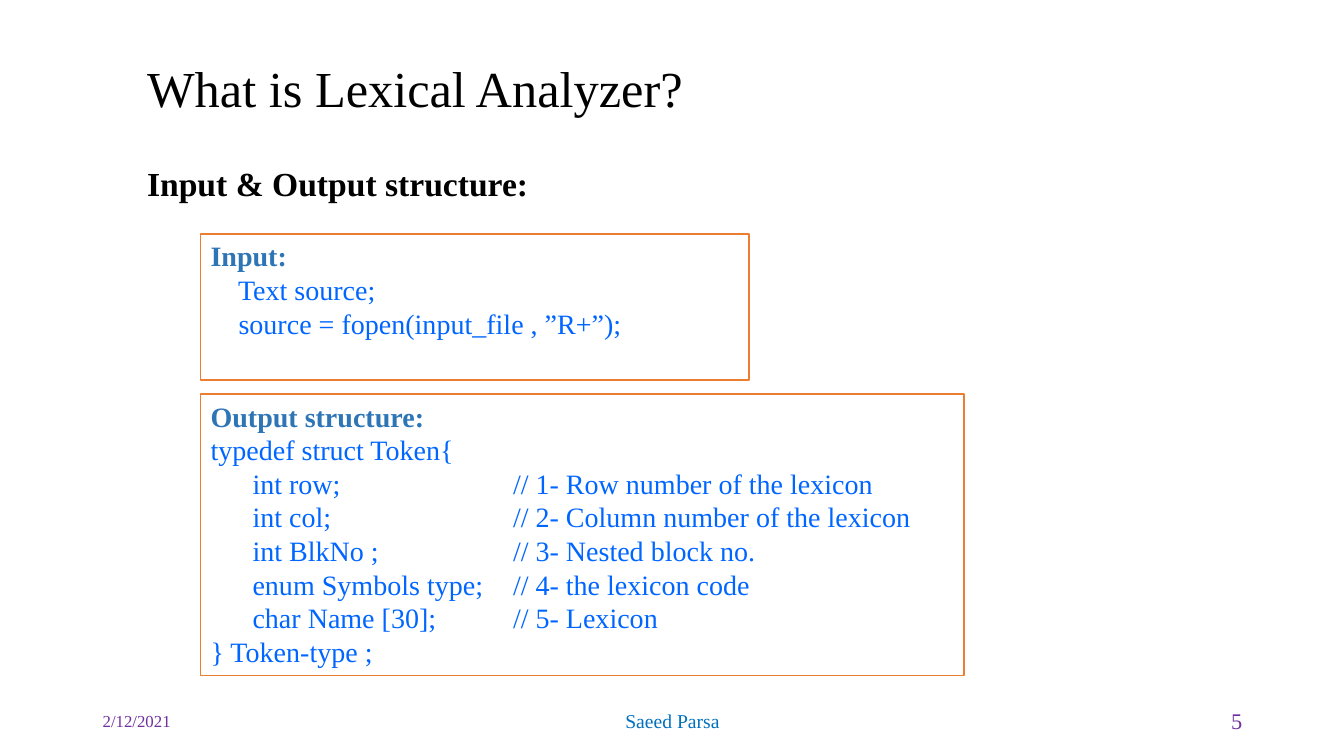
from lxml import etree
from pptx import Presentation
from pptx.dml.color import RGBColor
from pptx.enum.shapes import MSO_SHAPE
from pptx.enum.text import MSO_ANCHOR, MSO_AUTO_SIZE, PP_ALIGN
from pptx.oxml.ns import qn
from pptx.util import Inches, Pt

FONT = "Times New Roman"
BLACK = RGBColor(0x00, 0x00, 0x00)
WHITE = RGBColor(0xFF, 0xFF, 0xFF)
ORANGE = RGBColor(0xED, 0x7D, 0x31)
HEADING_BLUE = RGBColor(0x2E, 0x75, 0xB6)
CODE_BLUE = RGBColor(0x00, 0x66, 0xFF)
FOOTER_BLUE = RGBColor(0x00, 0x70, 0xC0)
PURPLE = RGBColor(0x70, 0x30, 0xA0)

COMMENT_TAB = Inches(3)
FOOTER_TOP, FOOTER_HEIGHT = 6.95, 0.4

INPUT_CODE = [
    "    Text source;",
    "    source = fopen(input_file , ”R+”);",
]
OUTPUT_CODE = [
    "typedef struct Token{",
    "      int row;\t// 1- Row number of the lexicon",
    "      int col;\t// 2- Column number of the lexicon",
    "      int BlkNo ;\t// 3- Nested block no.",
    "      enum Symbols type;\t// 4- the lexicon code",
    "      char Name [30];\t// 5- Lexicon",
    "} Token-type ;",
]
FOOTERS = [
    (0.92, 3, "2/12/2021", 12, PURPLE, PP_ALIGN.LEFT),
    (4.42, 4.5, "Saeed Parsa", 14, FOOTER_BLUE, PP_ALIGN.CENTER),
    (9.42, 3, "5", 16, PURPLE, PP_ALIGN.RIGHT),
]


def apply_values(target, values):
    """Set each named attribute on the target."""
    for name, value in values.items():
        setattr(target, name, value)


def format_font(paragraph, size, color, bold=False):
    """Give every run of the paragraph the same font."""
    for run in paragraph.runs:
        apply_values(run.font, {"name": FONT, "size": Pt(size), "bold": bold})
        run.font.color.rgb = color


def format_frame(text_frame, anchor, wrap=True):
    """Set anchoring and wrapping of a text frame."""
    apply_values(text_frame, {
        "auto_size": MSO_AUTO_SIZE.NONE,
        "word_wrap": wrap,
        "vertical_anchor": anchor,
    })


def add_tab_stop(paragraph, position):
    """Add one left tab stop to the paragraph."""
    tab_list = etree.SubElement(paragraph._p.get_or_add_pPr(), qn("a:tabLst"))
    etree.SubElement(tab_list, qn("a:tab"), pos=str(int(position)), algn="l")


def add_title(slide, text):
    """Fill and place the title placeholder."""
    title = slide.shapes.title
    apply_values(title, {
        "left": Inches(1.36), "top": Inches(0.58),
        "width": Inches(6.85), "height": Inches(0.64),
    })
    format_frame(title.text_frame, MSO_ANCHOR.MIDDLE)
    paragraph = title.text_frame.paragraphs[0]
    paragraph.text = text
    apply_values(paragraph, {"alignment": PP_ALIGN.LEFT, "line_spacing": 0.9})
    format_font(paragraph, 36, BLACK)


def add_label(slide, box, text, size, color, bold=False,
              alignment=PP_ALIGN.LEFT, anchor=MSO_ANCHOR.MIDDLE):
    """Add a single line of text."""
    label = slide.shapes.add_textbox(*map(Inches, box))
    format_frame(label.text_frame, anchor)
    paragraph = label.text_frame.paragraphs[0]
    paragraph.text = text
    paragraph.alignment = alignment
    format_font(paragraph, size, color, bold)


def add_code_box(slide, box, heading, code_lines):
    """Add an outlined box with a heading above lines of code."""
    shape = slide.shapes.add_shape(MSO_SHAPE.RECTANGLE, *map(Inches, box))
    shape.shadow.inherit = False
    shape.fill.solid()
    shape.fill.fore_color.rgb = WHITE
    shape.line.color.rgb = ORANGE
    shape.line.width = Pt(1)
    text_frame = shape.text_frame
    format_frame(text_frame, MSO_ANCHOR.TOP)
    for index, line in enumerate([heading, *code_lines]):
        paragraph = text_frame.add_paragraph() if index else text_frame.paragraphs[0]
        paragraph.text = line
        apply_values(paragraph, {"alignment": PP_ALIGN.LEFT, "line_spacing": Pt(24)})
        if "\t" in line:
            add_tab_stop(paragraph, COMMENT_TAB)
        format_font(paragraph, 20, CODE_BLUE if index else HEADING_BLUE, index == 0)


def main():
    """Build the slide and save it."""
    presentation = Presentation()
    presentation.slide_width = Inches(13.33)
    presentation.slide_height = Inches(7.5)
    slide = presentation.slides.add_slide(presentation.slide_layouts[5])
    add_title(slide, "What is Lexical Analyzer?")
    add_label(slide, (1.36, 1.57, 4.02, 0.5), "Input & Output structure:",
              24, BLACK, bold=True, anchor=MSO_ANCHOR.TOP)
    add_code_box(slide, (1.99, 2.32, 5.44, 1.45), "Input:", INPUT_CODE)
    add_code_box(slide, (1.99, 3.91, 7.57, 2.79), "Output structure:", OUTPUT_CODE)
    for left, width, text, size, color, alignment in FOOTERS:
        add_label(slide, (left, FOOTER_TOP, width, FOOTER_HEIGHT), text,
                  size, color, alignment=alignment)
    presentation.save("out.pptx")


if __name__ == "__main__":
    main()
